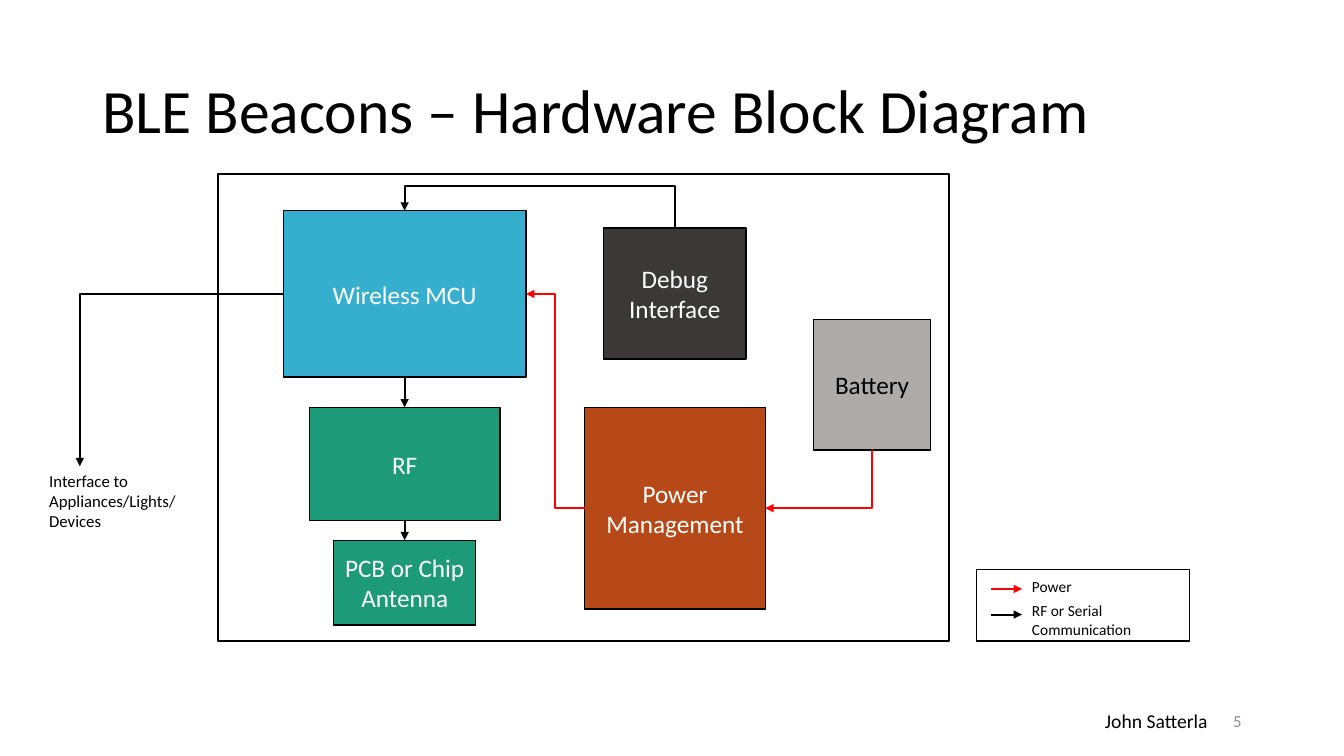
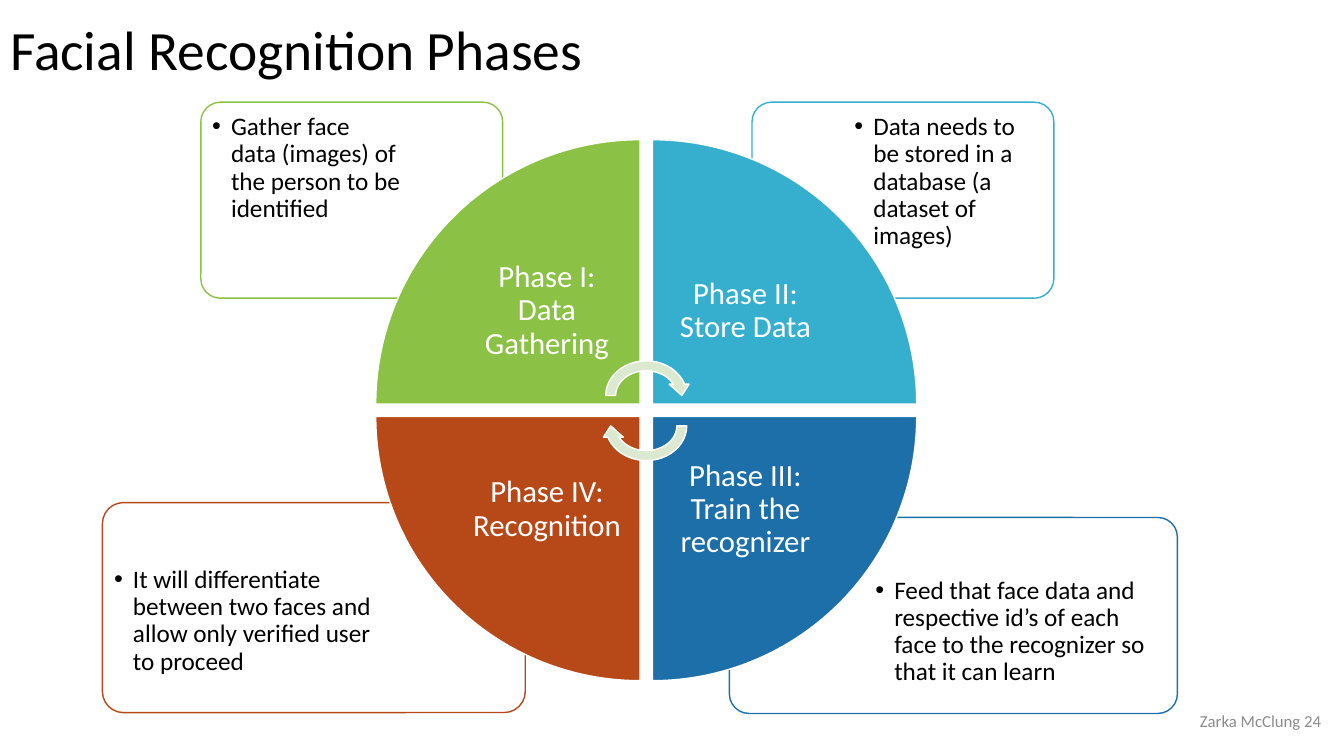
from lxml import etree
from pptx import Presentation
from pptx.dml.color import RGBColor
from pptx.enum.shapes import MSO_CONNECTOR as LINK, MSO_SHAPE as GEO
from pptx.enum.text import MSO_ANCHOR as ANCHOR, MSO_AUTO_SIZE as FIT, PP_ALIGN as ALIGN
from pptx.oxml.ns import qn
from pptx.util import Pt

FONT = "Calibri"
BLACK = RGBColor(0x00, 0x00, 0x00)
WHITE = RGBColor(0xFF, 0xFF, 0xFF)
GREY = RGBColor(0x8C, 0x8C, 0x8C)
RED = RGBColor(0xFF, 0x00, 0x00)
SKY = RGBColor(0x36, 0xAF, 0xCE)
BLUE = RGBColor(0x1D, 0x6F, 0xA9)
RUST = RGBColor(0xB7, 0x49, 0x19)
TEAL = RGBColor(0x1D, 0x9A, 0x78)
LIME = RGBColor(0x8B, 0xC1, 0x45)
PALE = RGBColor(0xDA, 0xE9, 0xCF)
DARK = RGBColor(0x3B, 0x38, 0x38)
SILVER = RGBColor(0xAF, 0xAB, 0xAB)
BOTTOM, LEFT, RIGHT, TOP = 2, 1, 3, 0

# key: (text, box, fill, text colour)
BLOCKS = {
    "mcu": ("Wireless MCU", (202.3, 150.5, 173.5, 118.9), SKY, WHITE),
    "power": ("Power Management", (417.6, 291, 129, 144), RUST, WHITE),
    "rf": ("RF", (221, 291, 136.1, 81), TEAL, WHITE),
    "chip": ("PCB or Chip Antenna", (238.3, 385.9, 101.5, 60.5), TEAL, WHITE),
    "debug": ("Debug Interface", (431.3, 162.9, 101.5, 93.6), DARK, WHITE),
    "cell": ("Battery", (581.2, 228.3, 83.5, 93.2), SILVER, BLACK),
}
BOARD = (156, 124, 522, 334)
KEY_BOX = (697.7, 407, 152, 51)
KEYS = [("Power", RED, 420.7, (730, 409, 76, 21)),
        ("RF or Serial Communication", BLACK, 439, (730, 426, 96, 34))]
OUTLET = ("Interface to Appliances/Lights/\nDevices", (28, 332.6, 114.5, 51))

# phase, colour, note, note frame, note text box; clockwise from top left
PHASES = [
    ("Phase I: Data Gathering", LIME,
     "Gather face data (images) of the person to be identified",
     (143.5, 73, 215.6, 140), (146.2, 76, 145, 99)),
    ("Phase II: Store Data", SKY,
     "Data needs to be stored in a database (a dataset of images)",
     (537.2, 73, 215.6, 140), (605, 76, 145, 99)),
    ("Phase III: Train the recognizer", BLUE,
     "Feed that face data and respective id’s of each face to the recognizer so that it can learn",
     (521, 369.6, 320, 140), (620, 407, 217.5, 99)),
    ("Phase IV: Recognition", RUST,
     "It will differentiate between two faces and allow only verified user to proceed",
     (73.2, 359, 302, 150), (76.2, 399.5, 204.5, 106)),
]
HUB = (461.6, 293)
WEDGE, LABEL, HALF_GAP = 188.8, 133, 4.4


def pts(vals):
    return [Pt(v) for v in vals]


def write(shape, words, size=18, color=BLACK, align=ALIGN.LEFT,
          anchor=ANCHOR.TOP, inset=None, lead=None, bullet=False):
    frame = shape.text_frame
    frame.text = words
    frame.word_wrap = True
    frame.auto_size = FIT.NONE
    frame.vertical_anchor = anchor
    if inset is not None:
        frame.margin_left = frame.margin_right = Pt(inset)
        frame.margin_top = frame.margin_bottom = Pt(inset)
    for par in frame.paragraphs:
        par.alignment = align
        par.space_before = Pt(0)
        if lead:
            par.line_spacing = lead
        font = par.runs[0].font
        font.name, font.size, font.bold = FONT, Pt(size), False
        font.color.rgb = color
        if bullet:
            props = par._p.get_or_add_pPr()
            props.set("marL", str(Pt(13.5)))
            props.set("indent", str(-Pt(13.5)))
            etree.SubElement(props, qn("a:buFont")).set("typeface", "Arial")
            etree.SubElement(props, qn("a:buChar")).set("char", "•")


def label(slide, words, box, **style):
    write(slide.shapes.add_textbox(*pts(box)), words, **style)


def block(slide, geo, box, fill, line=BLACK, width=1):
    shape = slide.shapes.add_shape(geo, *pts(box))
    shape.shadow.inherit = False
    shape.fill.solid()
    shape.fill.fore_color.rgb = fill
    shape.line.color.rgb = line
    shape.line.width = Pt(width)
    return shape


def arrow(slide, kind, start, end, color=BLACK):
    link = slide.shapes.add_connector(kind, *pts(start + end))
    link.line.color.rgb = color
    link.line.width = Pt(1.5)
    etree.SubElement(link.line._get_or_add_ln(), qn("a:tailEnd")).set("type", "triangle")
    etree.SubElement(link._element.spPr, qn("a:effectLst"))
    return link


def bend(slide, start, end, color=BLACK, turn=0, flip=False, legs=3, adj=None):
    """Elbow arrow whose unturned frame is centred between its two ends."""
    wide, high = abs(end[0] - start[0]), abs(end[1] - start[1])
    if turn % 180:
        wide, high = high, wide
    x = (start[0] + end[0] - wide) / 2
    y = (start[1] + end[1] - high) / 2
    link = arrow(slide, LINK.ELBOW, (x, y), (x + wide, y + high), color)
    props = link._element.spPr
    frame = props.find(qn("a:xfrm"))
    frame.set("rot", str(turn * 60000))
    if flip:
        frame.set("flipV", "1")
    geom = props.find(qn("a:prstGeom"))
    geom.set("prst", f"bentConnector{legs}")
    if adj is not None:
        guide = etree.SubElement(geom.find(qn("a:avLst")), qn("a:gd"))
        guide.set("name", "adj1")
        guide.set("fmla", f"val {round(adj * 100000)}")


def side(key, spot):
    """Middle of one side of a block."""
    x, y, w, h = BLOCKS[key][1]
    return {TOP: (x + w / 2, y), LEFT: (x, y + h / 2),
            BOTTOM: (x + w / 2, y + h), RIGHT: (x + w, y + h / 2)}[spot]


def start_slide(deck, layout, title, box, size):
    slide = deck.slides.add_slide(deck.slide_layouts[layout])
    head = slide.shapes.title
    head.left, head.top, head.width, head.height = pts(box)
    write(head, title, size=size, anchor=ANCHOR.MIDDLE, lead=0.9)
    return slide


def footer(slide, words, left):
    label(slide, words, (left, 500.5, 216, 28.8), size=12, color=GREY,
          align=ALIGN.RIGHT, anchor=ANCHOR.MIDDLE)


def hardware(deck):
    slide = start_slide(deck, 5, "BLE Beacons – Hardware Block Diagram",
                        (66, 28.8, 828, 104.4), 44)
    footer(slide, "5", 678)
    label(slide, "John Satterla", (776, 502.5, 100, 24.5), size=14, align=ALIGN.CENTER)
    block(slide, GEO.RECTANGLE, BOARD, WHITE, width=1.5)
    made = {}
    for key, (words, box, fill, color) in BLOCKS.items():
        made[key] = block(slide, GEO.RECTANGLE, box, fill)
        write(made[key], words, color=color, align=ALIGN.CENTER, anchor=ANCHOR.MIDDLE)

    for top, low in (("mcu", "rf"), ("rf", "chip")):
        link = arrow(slide, LINK.STRAIGHT, side(top, BOTTOM), side(low, TOP))
        link.begin_connect(made[top], BOTTOM)
        link.end_connect(made[low], TOP)
    bend(slide, side("cell", BOTTOM), side("power", RIGHT), RED, turn=90, legs=2)
    bend(slide, side("power", LEFT), side("mcu", RIGHT), RED, turn=180, adj=0.5)
    bend(slide, side("debug", TOP), side("mcu", TOP), turn=270, flip=True, adj=2.44)
    bend(slide, side("mcu", LEFT), (57, OUTLET[1][1] + 0.4), turn=180, flip=True, adj=1)
    label(slide, *OUTLET, size=12)

    block(slide, GEO.RECTANGLE, KEY_BOX, WHITE)
    for words, color, y, box in KEYS:
        arrow(slide, LINK.STRAIGHT, (707.8, y), (730, y), color)
        label(slide, words, box, size=11)


def phases(deck):
    slide = start_slide(deck, 4, "Facial Recognition Phases", (0, 10.8, 843, 54), 39.6)
    bodies = [p for p in slide.placeholders if p.placeholder_format.idx]
    for body, (_, color, note, frame, box) in zip(bodies, PHASES):
        card = block(slide, GEO.ROUNDED_RECTANGLE, frame, WHITE, color)
        card.adjustments[0] = 0.1
        body.left, body.top, body.width, body.height = pts(box)
        write(body, note, inset=5.3, lead=0.9, bullet=True)
        card._element.addnext(body._element)

    for i, (name, color, *_) in enumerate(PHASES):
        east, south = i in (1, 2), i in (2, 3)

        def quarter(size):
            return (HUB[0] + (HALF_GAP if east else -HALF_GAP - size),
                    HUB[1] + (HALF_GAP if south else -HALF_GAP - size), size, size)

        block(slide, GEO.PIE_WEDGE, quarter(WEDGE), color, WHITE).rotation = 90 * i
        label(slide, name, quarter(LABEL), size=22, color=WHITE, align=ALIGN.CENTER,
              anchor=ANCHOR.MIDDLE, inset=12.3, lead=0.9)

    for top, turn in ((254.2, 0), (275.8, 180)):
        box = (HUB[0] - 32.5, top, 65, 56.7)
        block(slide, GEO.CIRCULAR_ARROW, box, PALE, WHITE).rotation = turn
    footer(slide, "Zarka McClung 24", 735)


def main():
    deck = Presentation()
    deck.slide_width, deck.slide_height = Pt(960), Pt(540)
    hardware(deck)
    phases(deck)
    deck.save("out.pptx")


if __name__ == "__main__":
    main()
